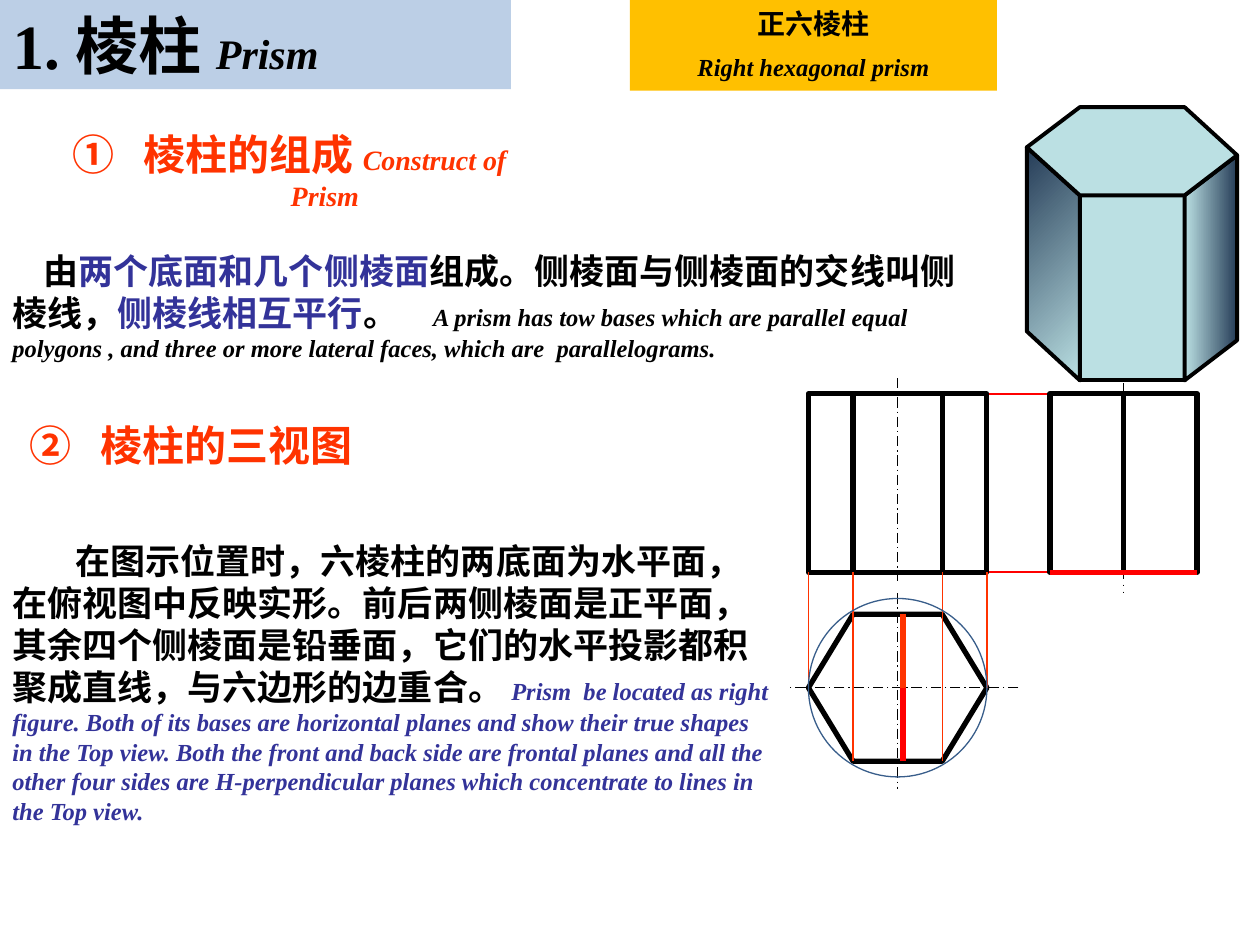
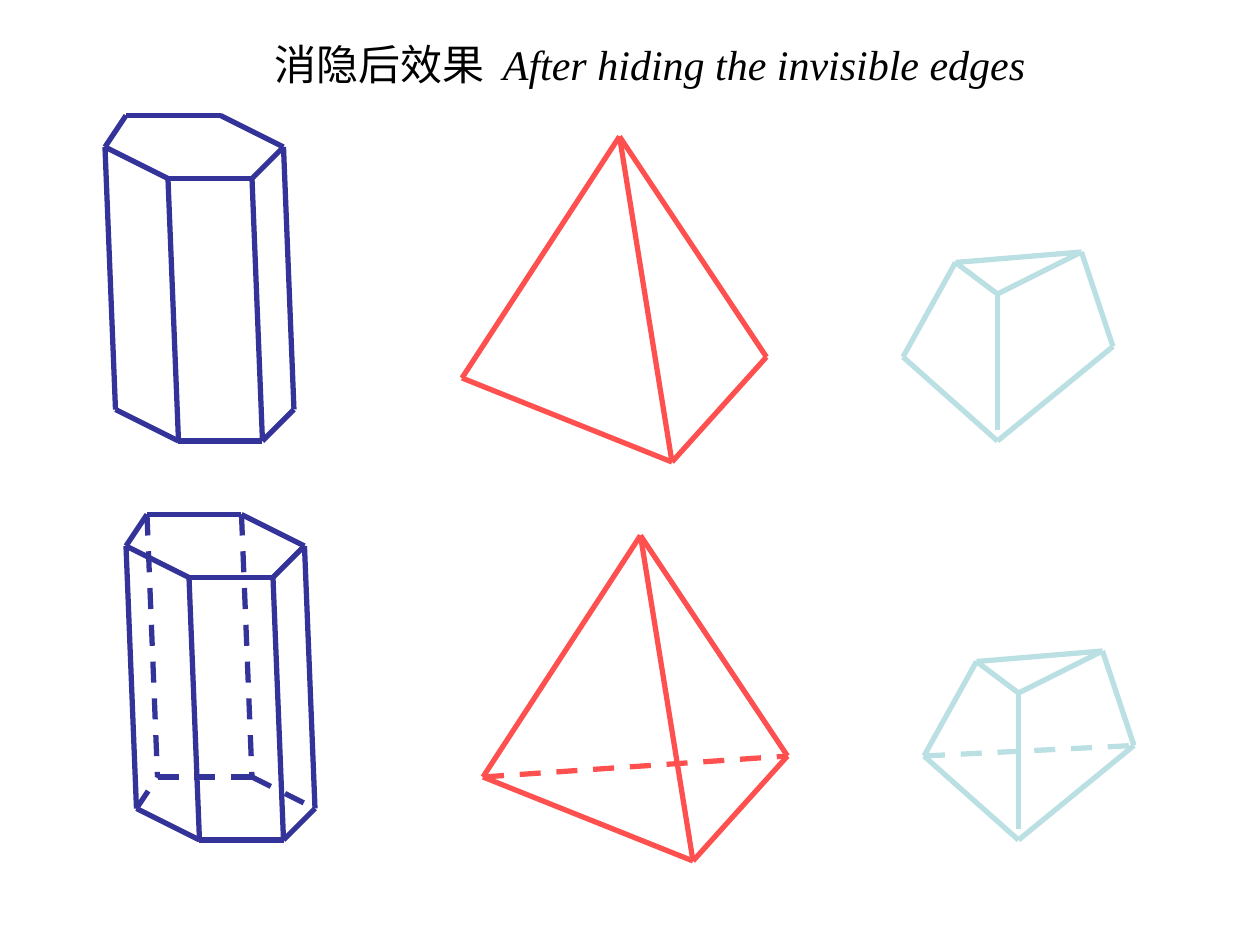
from lxml.etree import SubElement
from pptx import Presentation
from pptx.dml.color import RGBColor
from pptx.enum.dml import MSO_LINE
from pptx.enum.shapes import MSO_CONNECTOR, MSO_SHAPE
from pptx.enum.text import MSO_ANCHOR, MSO_AUTO_SIZE, PP_ALIGN
from pptx.oxml.ns import qn
from pptx.util import Cm, Pt

BLACK = RGBColor(0x00, 0x00, 0x00)
INDIGO = RGBColor(0x33, 0x33, 0x99)
CORAL = RGBColor(0xFF, 0x50, 0x50)
AQUA = RGBColor(0xBB, 0xE0, 0xE3)
NAVY = RGBColor(0x25, 0x3C, 0x57)
VERMILION = RGBColor(0xFF, 0x33, 0x00)
RED = RGBColor(0xFF, 0x00, 0x00)
STEEL = RGBColor(0x38, 0x5D, 0x8A)
PALE_BLUE = RGBColor(0xBC, 0xCF, 0xE6)
AMBER = RGBColor(0xFF, 0xC0, 0x00)

FONT = "Times New Roman"
GRID = Cm(2.54 / 12)  # drawing grid: twelve steps to the inch
TITLE_ONLY = 5


# ---- Shared helpers ----
def write_runs(paragraph, runs):
    """Each run is (text, size, colour, bold, italic)."""
    for text, size, color, bold, italic in runs:
        run = paragraph.add_run()
        run.text = text
        run.font.name = FONT
        run.font.size = Pt(size)
        run.font.color.rgb = color
        run.font.bold = bold
        run.font.italic = italic


def place_title(slide, box, runs, align, fill=None):
    title = slide.shapes.title
    title.left, title.top, title.width, title.height = (Cm(v) for v in box)
    frame = title.text_frame
    frame.auto_size = MSO_AUTO_SIZE.NONE
    frame.vertical_anchor = MSO_ANCHOR.TOP
    frame.paragraphs[0].alignment = align
    write_runs(frame.paragraphs[0], runs)
    if fill is not None:
        title.fill.solid()
        title.fill.fore_color.rgb = fill


def add_text(slide, box, runs, anchor=MSO_ANCHOR.MIDDLE, wrap=True):
    frame = slide.shapes.add_textbox(*(Cm(v) for v in box)).text_frame
    frame.word_wrap = wrap
    frame.auto_size = MSO_AUTO_SIZE.SHAPE_TO_FIT_TEXT
    frame.vertical_anchor = anchor
    write_runs(frame.paragraphs[0], runs)
    return frame.paragraphs[0]


def add_edge(slide, origin, start, end, color, width=3, dash=None):
    """Straight line between two grid points, counted from origin."""
    points = [(base + step) * GRID for point in (start, end)
              for base, step in zip(origin, point)]
    edge = slide.shapes.add_connector(MSO_CONNECTOR.STRAIGHT, *map(round, points))
    edge.line.color.rgb = color
    edge.line.width = Pt(width)
    if dash is not None:
        edge.line.dash_style = dash
    SubElement(edge._element.spPr, qn("a:effectLst"))


def add_outline(slide, kind, origin, box, color=BLACK, width=3):
    """Unfilled preset shape; the box is in grid steps from origin."""
    x, y, w, h = box
    lengths = (origin[0] + x, origin[1] + y, w, h)
    outline = slide.shapes.add_shape(kind, *(round(v * GRID) for v in lengths))
    outline.shadow.inherit = False
    outline.fill.background()
    outline.line.color.rgb = color
    outline.line.width = Pt(width)
    return outline


# ---- Slide 1: prism and its three views ----
def add_heading(slide, box, number, runs, anchor):
    heading = add_text(slide, box, runs, anchor, wrap=False)
    heading.alignment = PP_ALIGN.CENTER
    properties = heading._p.get_or_add_pPr()
    properties.set("marL", str(Cm(1.42)))
    properties.set("indent", str(-Cm(1.42)))
    SubElement(properties, qn("a:buFont"), typeface="+mj-lt")
    SubElement(properties, qn("a:buAutoNum"), type="circleNumDbPlain", startAt=str(number))


def add_body(slide, box, first_indent, runs):
    body = add_text(slide, box, runs)
    body._p.get_or_add_pPr().set("indent", str(Cm(first_indent)))


def add_prism_label(slide, box):
    label = slide.shapes.add_shape(MSO_SHAPE.RECTANGLE, *(Cm(v) for v in box))
    label.shadow.inherit = False
    label.fill.solid()
    label.fill.fore_color.rgb = AMBER
    label.line.fill.background()
    frame = label.text_frame
    frame.word_wrap = True
    frame.vertical_anchor = MSO_ANCHOR.TOP
    chinese, english = frame.paragraphs[0], frame.add_paragraph()
    write_runs(chinese, [("正六棱柱", 16, BLACK, True, False)])
    write_runs(english, [("Right hexagonal prism", 14, BLACK, True, True)])
    chinese.alignment = english.alignment = PP_ALIGN.CENTER
    english.space_before = Pt(7)


def add_shaded_prism(slide, left, top):
    west, east = (0, 0.81), (4.24, 0.97)
    front_left, front_right = (1.07, 1.78), (3.18, 1.78)
    low_west, low_east = (0, 4.52), (4.24, 4.7)
    low_left, low_right = (1.07, 5.51), (3.18, 5.51)
    faces = [  # corners, fill colours, gradient angle
        ([west, low_west, low_left, front_left], (NAVY, AQUA), 315),
        ([front_left, front_right, low_right, low_left], (AQUA,), None),
        ([low_right, low_east, east, front_right], (AQUA, NAVY), 0),
        ([west, (1.07, 0), (3.18, 0), east, front_right, front_left], (AQUA,), None),
    ]
    for corners, colors, angle in faces:
        points = [(Cm(left + x), Cm(top + y)) for x, y in corners]
        builder = slide.shapes.build_freeform(*points[0])
        builder.add_line_segments(points[1:], close=True)
        face = builder.convert_to_shape()
        face.shadow.inherit = False
        if angle is None:
            face.fill.solid()
            face.fill.fore_color.rgb = colors[0]
        else:
            face.fill.gradient()
            face.fill.gradient_angle = angle
            for stop, color in zip(face.fill.gradient_stops, colors):
                stop.color.rgb = color
        face.line.color.rgb = BLACK
        face.line.width = Pt(2.25)


def add_three_views(slide, origin):
    diameter = height = 17
    radius, quarter = diameter / 2, diameter / 4
    depth, side_left, plan_middle = 14, 23, 28
    side_middle = side_left + depth / 2
    plan_top, plan_bottom = plan_middle - depth / 2, plan_middle + depth / 2
    inner_edges = (quarter, diameter - quarter)

    def edge(start, end, color=BLACK, width=3, dash=None):
        add_edge(slide, origin, start, end, color, width, dash)

    # Projection lines from front to side
    for y in (0, height):
        edge((diameter, y), (side_left + depth, y), RED, 1)

    # Front view, plan view and side view
    add_outline(slide, MSO_SHAPE.RECTANGLE, origin, (0, 0, diameter, height))
    for x in inner_edges:
        edge((x, 0), (x, height))
    hexagon = add_outline(slide, MSO_SHAPE.HEXAGON, origin, (0, plan_top, diameter, depth))
    hexagon.adjustments[0] = 0.304
    add_outline(slide, MSO_SHAPE.RECTANGLE, origin, (side_left, 0, depth, height))

    # Centre lines
    for start, end, width in [
        ((20, plan_middle), (-2, plan_middle), 0.75),
        ((radius, 19), (radius, 37.6), 0.75),
        ((radius, -1.5), (radius, 17.8), 0.75),
        ((side_middle, -1), (side_middle, 19), 1),
    ]:
        edge(start, end, BLACK, width, MSO_LINE.LONG_DASH_DOT)
    edge((side_middle, height), (side_middle, 0))

    # Projection lines from front to plan
    for x in (0, diameter):
        edge((x, plan_middle), (x, height), VERMILION, 1)
    for x in inner_edges:
        edge((x, plan_bottom), (x, height), VERMILION, 1)

    # Matching depths in plan and side view
    mark = radius + 0.5
    edge((mark, plan_top), (mark, plan_middle), VERMILION)
    edge((mark, plan_middle), (mark, plan_bottom), RED)
    edge((side_middle, height), (side_left, height), RED)
    edge((side_left + depth, height), (side_middle, height), RED)

    add_outline(slide, MSO_SHAPE.OVAL, origin,
                (0, plan_middle - radius, diameter, diameter), STEEL, 0.75)


def build_prism_slide(deck):
    slide = deck.slides.add_slide(deck.slide_layouts[TITLE_ONLY])
    place_title(slide, (0, 0, 10.3, 1.8), [
        ("1. 棱柱 ", 36, BLACK, True, False),
        ("Prism", 24, BLACK, True, True),
    ], PP_ALIGN.LEFT, PALE_BLUE)
    add_heading(slide, (0.3, 8.33, 7.11, 1.27), 2,
                [("棱柱的三视图", 24, VERMILION, True, False)], MSO_ANCHOR.TOP)
    add_shaded_prism(slide, 20.7, 2.16)
    add_heading(slide, (0.48, 2.8, 10.72, 1.27), 1, [
        ("棱柱的组成 ", 24, VERMILION, True, False),
        ("Construct of Prism", 16, VERMILION, True, True),
    ], MSO_ANCHOR.MIDDLE)
    add_body(slide, (0, 4.85, 20.1, 2.64), 0.63, [
        ("由", 20, BLACK, True, False),
        ("两个底面和几个侧棱面", 20, INDIGO, True, False),
        ("组成。侧棱面与侧棱面的交线叫侧棱线，", 20, BLACK, True, False),
        ("侧棱线相互平行", 20, INDIGO, True, False),
        ("。　", 20, BLACK, True, False),
        ("A prism has tow bases which are parallel equal polygons , and three or more "
         "lateral faces, which are  parallelograms.", 14, BLACK, True, True),
    ])
    add_body(slide, (0, 10.72, 15.8, 6.07), 1.27, [
        ("在图示位置时，六棱柱的两底面为水平面，在俯视图中反映实形。前后两侧棱面是正平面，"
         "其余四个侧棱面是铅垂面，它们的水平投影都积聚成直线，与六边形的边重合。 ",
         20, BLACK, True, False),
        ("Prism  be located as right figure. Both of its bases are horizontal planes and "
         "show their true shapes in the Top view. Both the front and back side are frontal "
         "planes and all the other four sides are H-perpendicular planes which concentrate "
         "to lines in the Top view.", 14, INDIGO, True, True),
    ])
    add_three_views(slide, (77, 37.5))
    add_prism_label(slide, (12.7, 0, 7.4, 1.83))


# ---- Slide 2: solids with and without hidden edges ----
def chain(points, closed=False):
    return list(zip(points, points[1:] + points[:1] if closed else points[1:]))


def prism_edges():
    top = [(2, 0), (11, 0), (17, 3), (14, 6), (6, 6), (0, 3)]
    base = [(x + 1, y + 25) for x, y in top]
    uprights = list(zip(top, base))
    visible = chain(top, closed=True) + chain(base[2:]) + uprights[2:]
    hidden = chain([base[5], base[0], base[1], base[2]]) + uprights[:2]
    return visible, hidden


def pyramid_edges():
    apex, left, front, right = (15, 0), (0, 23), (20, 31), (29, 21)
    visible = chain([left, front, right]) + [(apex, p) for p in (left, front, right)]
    return visible, [(left, right)]


def frustum_edges():
    top = [(5, 1), (9, 4), (17, 0)]
    left, front, right = (0, 10), (9, 18), (20, 9)
    uprights = list(zip(top, [left, (9, 17), right]))
    visible = chain([left, front, right]) + chain(top, closed=True) + uprights
    return visible, [(left, right)]


def add_solid(slide, origin, visible, hidden, color):
    for start, end in hidden:
        add_edge(slide, origin, start, end, color, dash=MSO_LINE.DASH)
    for start, end in visible:
        add_edge(slide, origin, start, end, color)


def build_hidden_edges_slide(deck):
    slide = deck.slides.add_slide(deck.slide_layouts[TITLE_ONLY])
    place_title(slide, (1.9, 0.64, 22.4, 1.27), [
        ("消隐后效果 ", 24, BLACK, False, False),
        (" After hiding the invisible edges", 24, BLACK, False, True),
    ], PP_ALIGN.CENTER)
    solids = [
        ((10, 11), prism_edges(), INDIGO),
        ((44, 13), pyramid_edges(), CORAL),
        ((86, 24), frustum_edges(), AQUA),
    ]
    for (dx, dy), show_hidden in [((0, 0), False), ((2, 38), True)]:
        for (x, y), (visible, hidden), color in solids:
            add_solid(slide, (x + dx, y + dy), visible, hidden if show_hidden else [], color)


def main():
    deck = Presentation()
    deck.slide_width, deck.slide_height = Cm(25.4), Cm(19.05)
    build_prism_slide(deck)
    build_hidden_edges_slide(deck)
    deck.save("out.pptx")


if __name__ == "__main__":
    main()
